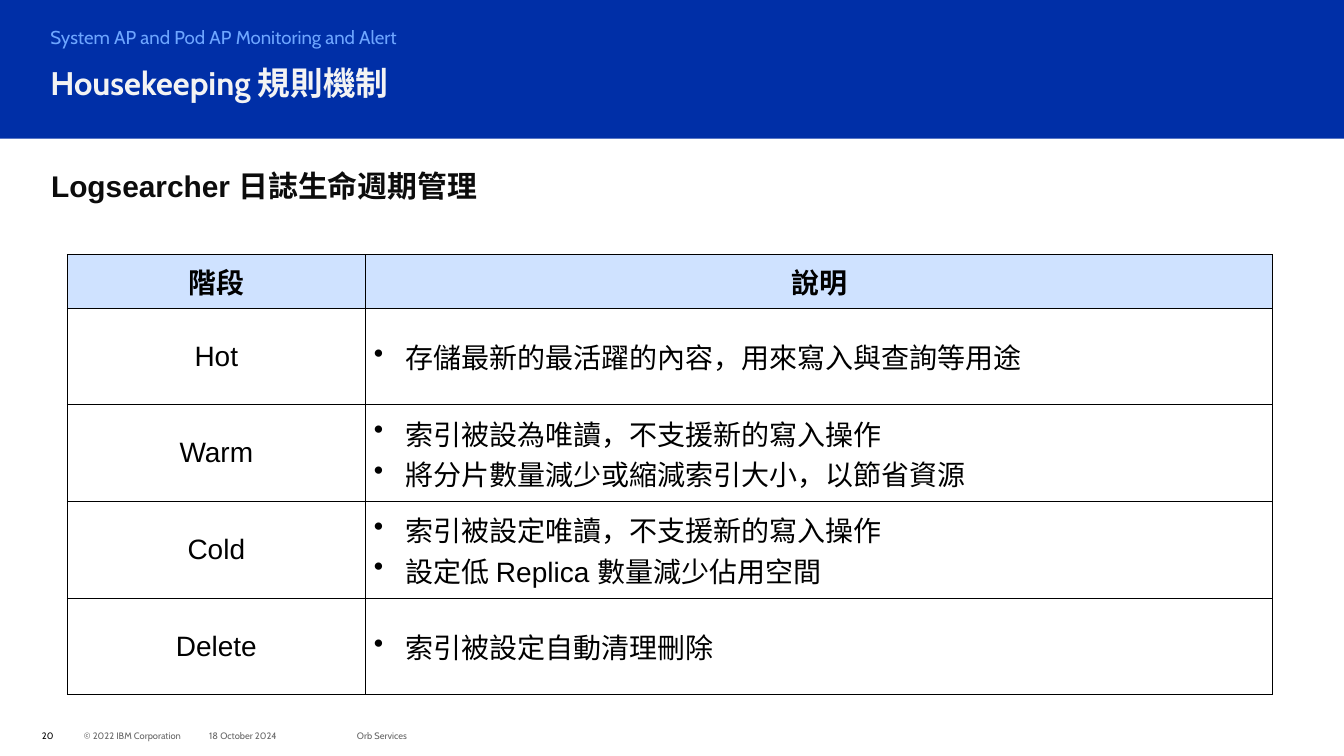
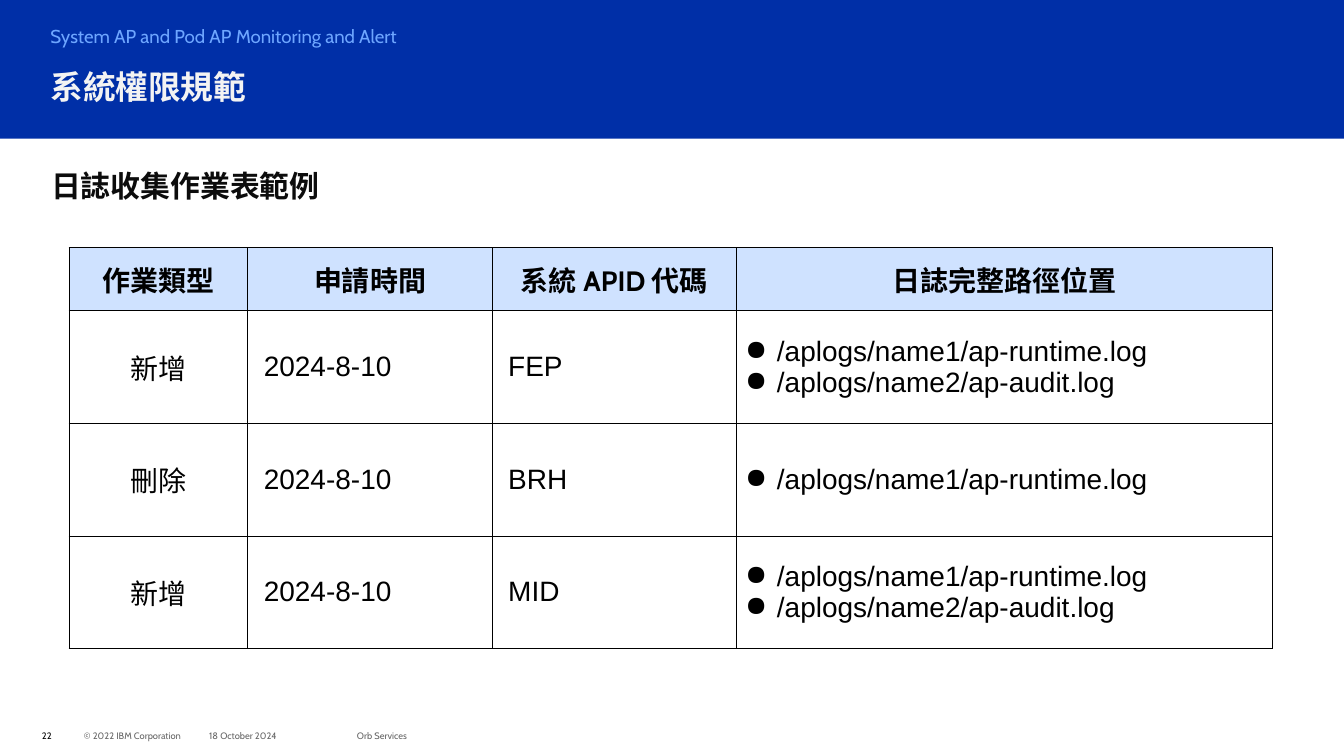
from dataclasses import dataclass

from pptx import Presentation
from pptx.dml.color import RGBColor
from pptx.enum.shapes import MSO_SHAPE as Shape
from pptx.enum.text import MSO_ANCHOR as Anchor, MSO_AUTO_SIZE as AutoSize, PP_ALIGN as Align
from pptx.oxml import parse_xml
from pptx.oxml.ns import nsdecls
from pptx.util import Inches, Pt


@dataclass(frozen=True)
class Theme:
    band: str = "002FA7"
    kicker: str = "6EA6FF"
    title: str = "F3F3F3"
    heading: str = "0C0C0C"
    ink: str = "000000"
    muted: str = "666666"
    header_fill: str = "CFE2FF"
    sans: str = "Arial"
    brand: str = "Cabin"
    title_size: float = 28
    heading_size: float = 25.6
    table_size: float = 24
    kicker_size: float = 16
    footer_size: float = 8
    border: float = 0.75


@dataclass(frozen=True)
class Column:
    heading: str
    width: float
    font: str
    align: Align = Align.LEFT
    bullet: str = ""
    indent: float = 0


THEME = Theme()
WIDTH, HEIGHT = 16, 9
BAND_SHARE = 1.65 / HEIGHT
HANG = 0.38
INSETS = (0.1, 0.05, 0.1, 0.05)


# Text
def set_indent(paragraph, left, bullet=""):
    """Indent a paragraph, with a hanging bullet if one is given."""
    properties = paragraph._p.get_or_add_pPr()
    properties.set("marL", str(Inches(left)))
    properties.set("indent", str(-Inches(left) if bullet else 0))
    mark = f'<a:buChar {nsdecls("a")} char="{bullet}"/>' if bullet else f'<a:buNone {nsdecls("a")}/>'
    properties.append(parse_xml(mark))


def write(frame, *paragraphs, size, color, font=THEME.brand, bold=False, align=Align.LEFT,
          anchor=Anchor.TOP, insets=INSETS, spacing=None, indent=0, bullet=""):
    """Each paragraph is a string or a list of (text, font) runs."""
    frame.word_wrap = True
    frame.vertical_anchor = anchor
    frame.margin_left, frame.margin_top, frame.margin_right, frame.margin_bottom = map(Inches, insets)
    for index, content in enumerate(paragraphs):
        paragraph = frame.add_paragraph() if index else frame.paragraphs[0]
        set_indent(paragraph, indent, bullet)
        paragraph.alignment = align
        paragraph.space_before = Pt(0)
        paragraph.line_spacing = spacing
        for text, run_font in [(content, font)] if isinstance(content, str) else content:
            run = paragraph.add_run()
            run.text = text
            run.font.name = run_font
            run.font.size = Pt(size)
            run.font.bold = bold
            run.font.color.rgb = RGBColor.from_string(color)


def place(shape, left, top, width, height):
    shape.left, shape.top, shape.width, shape.height = map(Inches, (left, top, width, height))
    return shape


def add_text(slide, box, *paragraphs, **text_format):
    frame = slide.shapes.add_textbox(*map(Inches, box)).text_frame
    write(frame, *paragraphs, **text_format)


# Header: band, kicker and title
def add_header(slide, title, kicker, title_spacing, kicker_spacing):
    band = slide.shapes.add_shape(Shape.RECTANGLE, 0, 0, Inches(WIDTH), Inches(HEIGHT * BAND_SHARE))
    band.shadow.inherit = False
    band.fill.solid()
    band.fill.fore_color.rgb = RGBColor.from_string(THEME.band)
    band.line.fill.background()
    slide.shapes._spTree.insert(2, band._element)

    kicker_frame = place(slide.placeholders[1], 0.5, 0.29, 7.2, 0.3).text_frame
    title_frame = place(slide.shapes.title, 0.5, 0.75, 13.5, 0.65).text_frame
    kicker_frame.auto_size = title_frame.auto_size = AutoSize.NONE
    write(kicker_frame, kicker, size=THEME.kicker_size, color=THEME.kicker,
          insets=(0.1, 0, 0.1, 0.05), spacing=kicker_spacing)
    write(title_frame, title, size=THEME.title_size, color=THEME.title, bold=True,
          spacing=title_spacing)


# Footer
def add_footer(slide, number):
    parts = (
        (0.5, 0.36, number, THEME.ink),
        (1, 1.4, "© 2022 IBM Corporation", THEME.muted),
        (2.49, 1.5, "18 October 2024", THEME.muted),
        (4.25, 2.5, "Orb Services", THEME.muted),
    )
    for left, width, text, color in parts:
        add_text(slide, (left, HEIGHT * 0.96, width, 0.24), text, size=THEME.footer_size,
                 color=color, anchor=Anchor.MIDDLE, insets=(0, 0, 0, 0))


# Table
def style_cell(cell, fill=None):
    properties = cell._tc.get_or_add_tcPr()
    for side in ("lnL", "lnR", "lnT", "lnB"):
        properties.append(parse_xml(
            f'<a:{side} {nsdecls("a")} w="{Pt(THEME.border)}"><a:solidFill>'
            f'<a:srgbClr val="{THEME.ink}"/></a:solidFill></a:{side}>'))
    if fill:
        cell.fill.solid()
        cell.fill.fore_color.rgb = RGBColor.from_string(fill)
    else:
        cell.fill.background()
    cell.vertical_anchor = Anchor.MIDDLE


def add_grid(slide, left, top, columns, rows, header_height, row_height):
    width = sum(column.width for column in columns)
    height = header_height + row_height * len(rows)
    table = slide.shapes.add_table(len(rows) + 1, len(columns),
                                   *map(Inches, (left, top, width, height))).table
    for index, row in enumerate(table.rows):
        row.height = Inches(row_height if index else header_height)
    for x, column in enumerate(columns):
        table.columns[x].width = Inches(column.width)
        header = table.cell(0, x)
        style_cell(header, THEME.header_fill)
        write(header.text_frame, column.heading, size=THEME.table_size, color=THEME.ink,
              bold=True, align=Align.CENTER, anchor=Anchor.MIDDLE)
        for y, row in enumerate(rows, 1):
            cell = table.cell(y, x)
            style_cell(cell)
            lines = row[x] if isinstance(row[x], tuple) else (row[x],)
            # Lines with Latin letters or digits use the sans font
            runs = [[(line, THEME.sans if any(c.isascii() for c in line) else column.font)]
                    for line in lines]
            write(cell.text_frame, *runs, size=THEME.table_size, color=THEME.ink,
                  align=column.align, anchor=Anchor.MIDDLE,
                  indent=column.indent, bullet=column.bullet)


# Slide type: header, heading, table and footer
def add_table_slide(presentation, number, title, heading, grid,
                    title_spacing=None, kicker_spacing=None):
    slide = presentation.slides.add_slide(presentation.slide_layouts[1])
    add_header(slide, title, "System AP and Pod AP Monitoring and Alert",
               title_spacing, kicker_spacing)
    add_text(slide, (0.51, 1.95, 7.41, 0.53), heading, size=THEME.heading_size,
             color=THEME.heading, bold=True)
    add_grid(slide, **grid)
    add_footer(slide, number)


LIFECYCLE = dict(
    left=0.8, top=3.03, header_height=0.64, row_height=1.15,
    columns=(
        Column("階段", 3.55, THEME.sans, Align.CENTER),
        Column("說明", 10.8, THEME.brand, bullet="•", indent=HANG),
    ),
    rows=(
        ("Hot", "存儲最新的最活躍的內容，用來寫入與查詢等用途"),
        ("Warm", ("索引被設為唯讀，不支援新的寫入操作", "將分片數量減少或縮減索引大小，以節省資源")),
        ("Cold", ("索引被設定唯讀，不支援新的寫入操作", "設定低 Replica 數量減少佔用空間")),
        ("Delete", "索引被設定自動清理刪除"),
    ),
)

RUNTIME_LOG = "/aplogs/name1/ap-runtime.log"
AUDIT_LOG = "/aplogs/name2/ap-audit.log"
REQUESTS = dict(
    left=0.82, top=2.95, header_height=0.75, row_height=1.34,
    columns=(
        Column("作業類型", 2.13, THEME.sans, Align.CENTER),
        Column("申請時間", 2.91, THEME.sans, indent=0.09),
        Column("系統 APID 代碼", 2.91, THEME.sans, indent=0.09),
        Column("日誌完整路徑位置", 6.38, THEME.sans, bullet="●", indent=HANG),
    ),
    rows=(
        ("新增", "2024-8-10", "FEP", (RUNTIME_LOG, AUDIT_LOG)),
        ("刪除", "2024-8-10", "BRH", RUNTIME_LOG),
        ("新增", "2024-8-10", "MID", (RUNTIME_LOG, AUDIT_LOG)),
    ),
)


def main():
    presentation = Presentation()
    presentation.slide_width, presentation.slide_height = Inches(WIDTH), Inches(HEIGHT)
    add_table_slide(
        presentation, "20",
        [("Housekeeping ", THEME.brand), ("規則機制", THEME.sans)],
        [("Logsearcher 日誌", THEME.sans), ("生命週期管理", THEME.brand)],
        LIFECYCLE, title_spacing=0.9, kicker_spacing=1.05)
    add_table_slide(presentation, "22", [("系統權限規範", THEME.sans)], "日誌收集作業表範例", REQUESTS)
    presentation.save("out.pptx")


if __name__ == "__main__":
    main()
